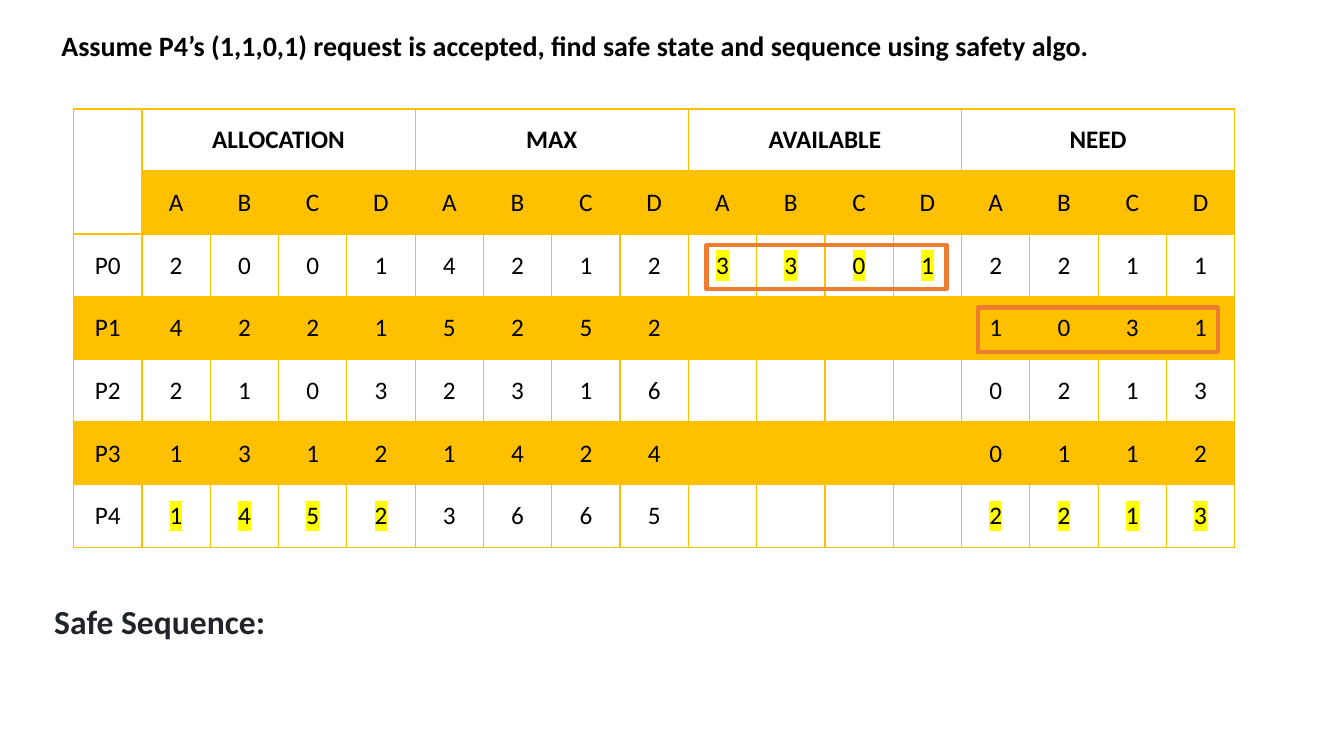
"""Build the safety algorithm slide with its resource table."""
from typing import NamedTuple

import lxml.etree
import pptx
import pptx.dml.color
import pptx.enum.shapes
import pptx.enum.text
import pptx.oxml.ns
import pptx.util

Pt = pptx.util.Pt
RGBColor = pptx.dml.color.RGBColor
Align = pptx.enum.text.PP_ALIGN
Anchor = pptx.enum.text.MSO_ANCHOR
qn = pptx.oxml.ns.qn

GOLD = RGBColor(0xFF, 0xC0, 0x00)
YELLOW = RGBColor(0xFF, 0xFF, 0x00)
ORANGE = RGBColor(0xED, 0x7D, 0x31)
BLACK = RGBColor(0x00, 0x00, 0x00)
DARK = RGBColor(0x21, 0x25, 0x29)

FONT = "Calibri"
COL, ROW = 48.79, 44.74
GROUPS = ["ALLOCATION", "MAX", "AVAILABLE", "NEED"]
SPAN = 4


class Process(NamedTuple):
    """Hold the resource counts of one process."""
    name: str
    held: str
    most: str
    free: str
    need: str
    marks: tuple[int, ...] = ()


class Label(NamedTuple):
    """Hold one line of text and its box."""
    text: str
    left: float
    top: float
    width: float
    height: float
    size: float
    color: RGBColor
    anchor: Anchor
    space: float


class Frame(NamedTuple):
    """Hold the corner of one outline."""
    left: float
    top: float


ROWS = [
    Process("P0", "2001", "4212", "3301", "2211", (2,)),
    Process("P1", "4221", "5252", "", "1031"),
    Process("P2", "2103", "2316", "", "0213"),
    Process("P3", "1312", "1424", "", "0112"),
    Process("P4", "1452", "3665", "", "2213", (0, 3)),
]
LABELS = [
    Label("Assume P4’s (1,1,0,1) request is accepted, find safe state and "
          "sequence using safety algo.",
          36.7, 25.9, 910.8, 16.6, 20, BLACK, Anchor.MIDDLE, 0.9),
    Label("Safe Sequence:", 31.7, 425.5, 897.1, 36, 24, DARK, Anchor.TOP, 1),
]
FRAMES = [Frame(504.7, 175), Frame(698.4, 219.6)]


def style(para, size: float, color: RGBColor, bold: bool) -> None:
    """Set the font of a paragraph."""
    font = para.font
    font.name, font.size, font.bold = FONT, Pt(size), bold
    font.color.rgb = color


def solid(node, tag: str, color: RGBColor):
    """Add a colour element under a node."""
    part = lxml.etree.SubElement(node, qn(tag))
    lxml.etree.SubElement(part, qn("a:srgbClr"), val=str(color))


def border(cell, row: int) -> None:
    """Draw the gold edges of a cell."""
    props = cell._tc.get_or_add_tcPr()
    for side in "LRTB":
        if row == 1 and side == "T":
            continue
        width = 2 if row == 0 and side == "B" else 1
        line = lxml.etree.SubElement(props, qn(f"a:ln{side}"), w=str(Pt(width)))
        solid(line, "a:solidFill", GOLD)


def paint(cell, shade: bool) -> None:
    """Fill a cell with pale gold or leave it clear."""
    if not shade:
        cell.fill.background()
        return
    cell.fill.solid()
    cell.fill.fore_color.rgb = GOLD
    tint = cell._tc.tcPr.find(".//" + qn("a:srgbClr"))
    lxml.etree.SubElement(tint, qn("a:alpha"), val="20000")


def write(cell, text: str, bold: bool = False, mark: bool = False) -> None:
    """Put centred text in a cell."""
    cell.vertical_anchor = Anchor.MIDDLE
    para = cell.text_frame.paragraphs[0]
    para.alignment = Align.CENTER
    style(para, 18, BLACK, bold)
    if text:
        run = para.add_run()
        run.text = text
        if mark:
            solid(run._r.get_or_add_rPr(), "a:highlight", YELLOW)


def add_grid(slide) -> None:
    """Add the resource table."""
    rows, cols = len(ROWS) + 2, len(GROUPS) * SPAN + 1
    grid = slide.shapes.add_table(rows, cols, Pt(52.6), Pt(77.8),
                                  Pt(COL * cols), Pt(ROW * rows)).table
    grid.first_row = grid.horz_banding = False
    for col in grid.columns:
        col.width = Pt(COL)
    for y, row in enumerate(grid.rows):
        row.height = Pt(ROW)
        for x, cell in enumerate(row.cells):
            border(cell, y)
            paint(cell, y % 2 == 1 and (x > 0 or y > 1))
    grid.cell(0, 0).merge(grid.cell(1, 0))
    for part, name in enumerate(GROUPS):
        left = part * SPAN + 1
        grid.cell(0, left).merge(grid.cell(0, left + SPAN - 1))
        write(grid.cell(0, left), name, bold=True)
        for step, kind in enumerate("ABCD"):
            write(grid.cell(1, left + step), kind)
    for y, proc in enumerate(ROWS, 2):
        write(grid.cell(y, 0), proc.name)
        parts = (proc.held, proc.most, proc.free, proc.need)
        for part, counts in enumerate(parts):
            for step, count in enumerate(counts.ljust(SPAN)):
                write(grid.cell(y, part * SPAN + step + 1), count.strip(),
                      mark=part in proc.marks)


def add_label(slide, label: Label) -> None:
    """Add one line of bold text."""
    box = slide.shapes.add_textbox(Pt(label.left), Pt(label.top),
                                   Pt(label.width), Pt(label.height))
    frame = box.text_frame
    frame.word_wrap = True
    frame.vertical_anchor = label.anchor
    para = frame.paragraphs[0]
    para.text = label.text
    para.line_spacing = label.space
    style(para, label.size, label.color, True)


def add_frame(slide, frame: Frame) -> None:
    """Add an orange outline."""
    rect = slide.shapes.add_shape(pptx.enum.shapes.MSO_SHAPE.RECTANGLE,
                                  Pt(frame.left), Pt(frame.top),
                                  Pt(171.4), Pt(31.7))
    rect.shadow.inherit = False
    rect.fill.background()
    rect.line.color.rgb = ORANGE
    rect.line.width = Pt(3)


def main() -> None:
    """Build and save the slide."""
    deck = pptx.Presentation()
    deck.slide_width, deck.slide_height = Pt(960), Pt(540)
    slide = deck.slides.add_slide(deck.slide_layouts[6])
    add_grid(slide)
    for label in LABELS:
        add_label(slide, label)
    for frame in FRAMES:
        add_frame(slide, frame)
    deck.save("out.pptx")


if __name__ == "__main__":
    main()
